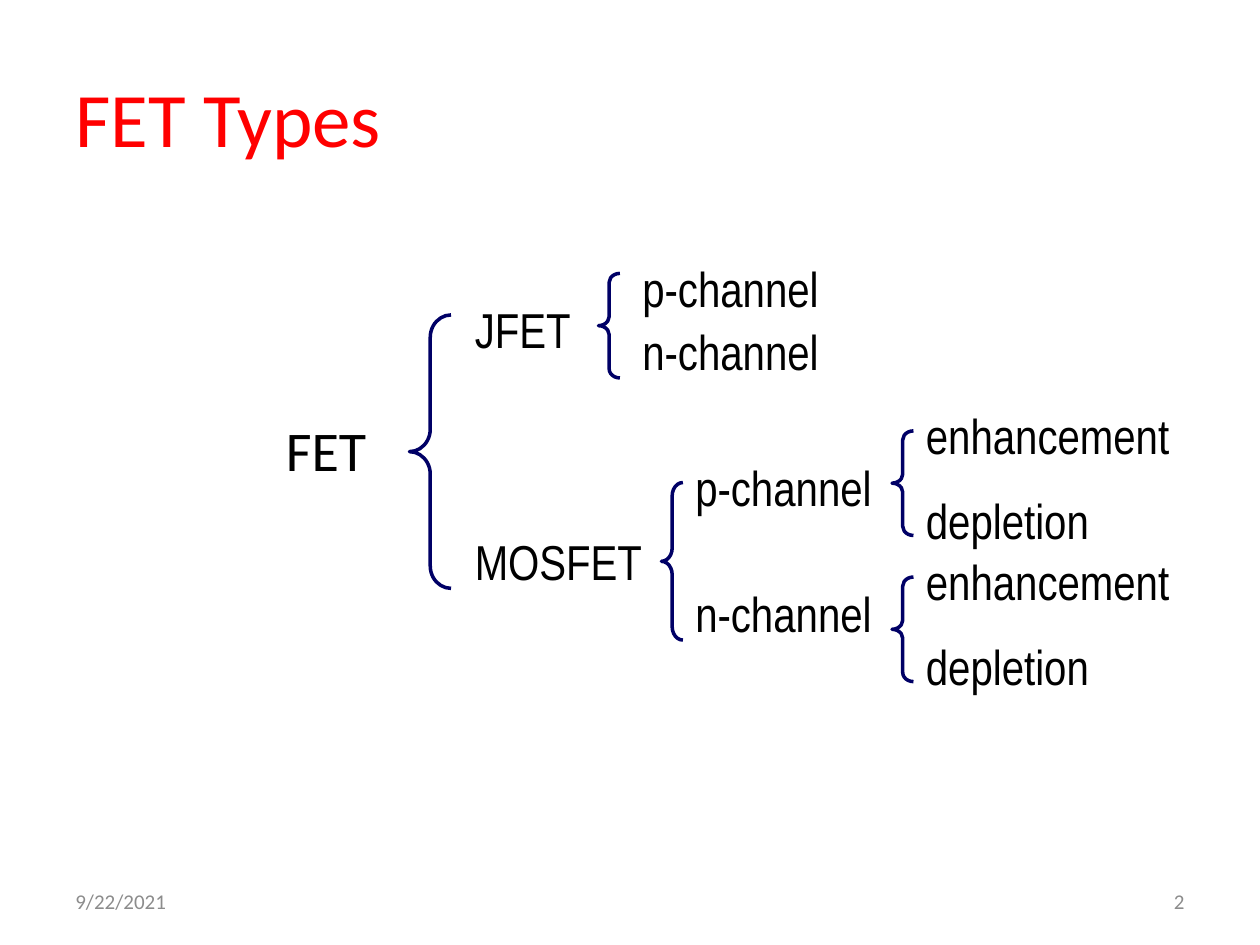
from typing import NamedTuple

from pptx import Presentation
from pptx.dml.color import RGBColor
from pptx.enum.shapes import MSO_SHAPE
from pptx.enum.text import MSO_ANCHOR, MSO_AUTO_SIZE, PP_ALIGN
from pptx.util import Inches, Pt

LEFT_BRACE = MSO_SHAPE.LEFT_BRACE
TOP, MIDDLE = MSO_ANCHOR.TOP, MSO_ANCHOR.MIDDLE
LEFT, RIGHT = PP_ALIGN.LEFT, PP_ALIGN.RIGHT
FIT_SHAPE = MSO_AUTO_SIZE.SHAPE_TO_FIT_TEXT

COLORS = {"title": "FF0000", "footer": "8C8C8C", "label": "000000", "brace": "000066"}
BODY_FONT, TREE_FONT = "Calibri", "Arial Narrow"


class Label(NamedTuple):
    text: str
    left: float
    top: float
    width: float
    height: float = 0.57
    size: int = 28
    font: str = TREE_FONT
    color: str = "label"
    anchor: MSO_ANCHOR = TOP
    align: PP_ALIGN = LEFT
    wrap: bool = False


class Brace(NamedTuple):
    left: float
    top: float
    width: float
    height: float
    curve: float


def add_label(slide, label: Label) -> None:
    box = slide.shapes.add_textbox(Inches(label.left), Inches(label.top),
                                   Inches(label.width), Inches(label.height))
    frame = box.text_frame
    frame.text = label.text
    frame.word_wrap = label.wrap
    frame.vertical_anchor = label.anchor
    if not label.wrap:
        frame.auto_size = FIT_SHAPE
    paragraph = frame.paragraphs[0]
    paragraph.alignment = label.align
    font = paragraph.runs[0].font
    font.name = label.font
    font.size = Pt(label.size)
    font.color.rgb = RGBColor.from_string(COLORS[label.color])


def add_brace(slide, brace: Brace) -> None:
    shape = slide.shapes.add_shape(LEFT_BRACE, Inches(brace.left), Inches(brace.top),
                                   Inches(brace.width), Inches(brace.height))
    shape.shadow.inherit = False
    shape.adjustments[0] = brace.curve
    shape.adjustments[1] = 0.5
    shape.fill.background()
    shape.line.color.rgb = RGBColor.from_string(COLORS["brace"])
    shape.line.width = Pt(2)


# Title and footer
PAGE_LABELS = [
    Label("FET Types", 0.5, 0.3, 9, 1.25, 44, BODY_FONT, "title", MIDDLE, wrap=True),
    Label("9/22/2021", 0.5, 6.95, 2.33, 0.4, 12, BODY_FONT, "footer", MIDDLE, wrap=True),
    Label("2", 7.17, 6.95, 2.33, 0.4, 12, BODY_FONT, "footer", MIDDLE, RIGHT, True),
]

# Root, families and channels of the tree
TREE_LABELS = [
    Label("FET", 2.17, 3.25, 0.85, 0.64, 32, BODY_FONT),
    Label("JFET", 3.67, 2.33, 0.96),
    Label("p-channel", 5, 2, 1.6),
    Label("n-channel", 5, 2.5, 1.6),
    Label("MOSFET", 3.67, 4.17, 1.53),
    Label("p-channel", 5.42, 3.58, 1.6),
    Label("n-channel", 5.42, 4.58, 1.6),
]
TREE_BRACES = [
    Brace(3.25, 2.5, 0.33, 2.17, 0.54),
    Brace(4.75, 2.17, 0.17, 0.83, 0.42),
    Brace(5.25, 3.83, 0.17, 1.25, 0.62),
]

# Each MOSFET channel splits into the same two modes
MODE_TOPS = [3.17, 4.33]


def add_modes(slide, top: float) -> None:
    add_brace(slide, Brace(7.08, top + 0.25, 0.17, 0.83, 0.42))
    add_label(slide, Label("enhancement", 7.25, top, 2.13))
    add_label(slide, Label("depletion", 7.25, top + 0.67, 1.49))


def main() -> None:
    presentation = Presentation()
    presentation.slide_width = Inches(10)
    presentation.slide_height = Inches(7.5)
    slide = presentation.slides.add_slide(presentation.slide_layouts[6])

    for label in PAGE_LABELS + TREE_LABELS:
        add_label(slide, label)
    for brace in TREE_BRACES:
        add_brace(slide, brace)
    for top in MODE_TOPS:
        add_modes(slide, top)

    presentation.save("out.pptx")


if __name__ == "__main__":
    main()
